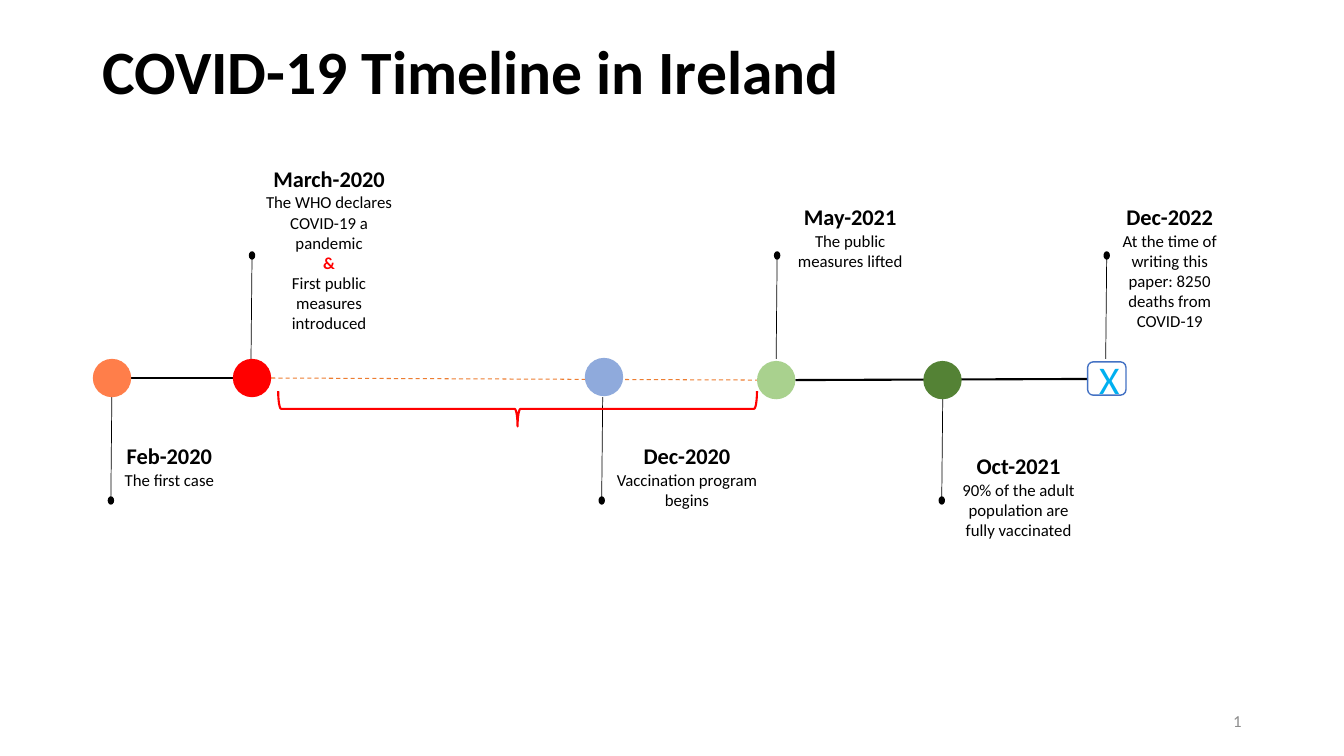
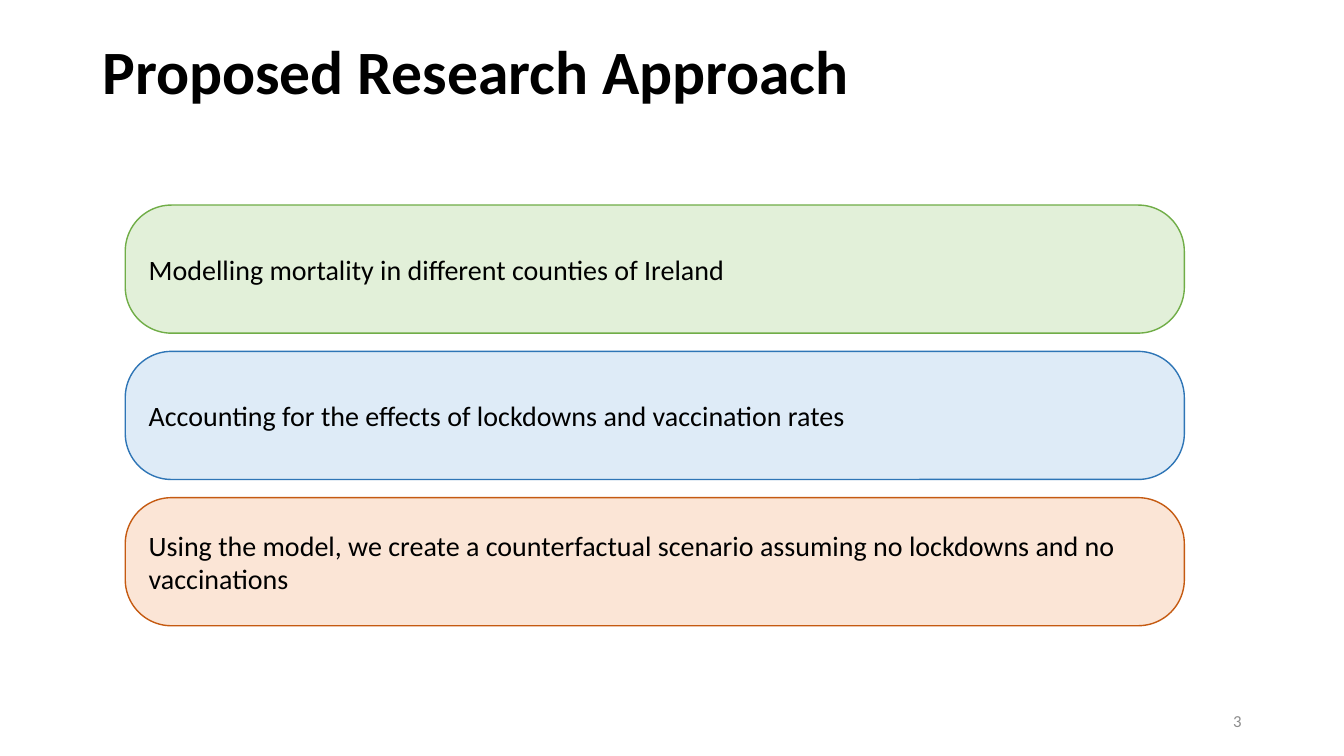
from dataclasses import dataclass
from lxml.etree import SubElement
from pptx import Presentation
from pptx.dml.color import RGBColor
from pptx.enum.dml import MSO_LINE
from pptx.enum.shapes import MSO_CONNECTOR, MSO_SHAPE
from pptx.enum.text import MSO_ANCHOR, MSO_AUTO_SIZE, PP_ALIGN
from pptx.oxml.ns import qn
from pptx.util import Pt


@dataclass(frozen=True)
class Theme:
    font: str = "Calibri"
    title: int = 44
    symbol: int = 28
    body: int = 20
    date: int = 16
    small: int = 12
    black: str = "000000"
    white: str = "FFFFFF"
    grey: str = "8C8C8C"
    red: str = "FF0000"
    coral: str = "FF7E4A"
    periwinkle: str = "8FAADC"
    light_green: str = "A9D18E"
    dark_green: str = "548235"
    dash: str = "ED7D31"
    frame: str = "4472C4"
    cross: str = "00B0F0"
    bars: tuple = (("E2F0D9", "70AD47"), ("DEEBF7", "2E75B6"), ("FBE5D6", "C55A11"))


T = Theme()


def add_shape(s, kind, box, fill=None, line=None, width=1):
    sp = s.shapes.add_shape(kind, *map(Pt, box))
    sp.shadow.inherit = False
    for part, color in ((sp.fill, fill), (sp.line.fill, line)):
        if color:
            part.solid()
            part.fore_color.rgb = RGBColor.from_string(color)
        else:
            part.background()
    if line:
        sp.line.width = Pt(width)
    return sp


def write(sp, paragraphs, frame={}, para={}):
    tf = sp.text_frame
    for name, value in {"word_wrap": True, **frame}.items():
        setattr(tf, name, value)
    for i, (text, size, color, bold) in enumerate(paragraphs):
        p = tf.add_paragraph() if i else tf.paragraphs[0]
        for name, value in para.items():
            setattr(p, name, value)
        r = p.add_run()
        r.text = text
        r.font.color.rgb = RGBColor.from_string(color)
        for name, value in {"name": T.font, "size": Pt(size), "bold": bold}.items():
            setattr(r.font, name, value)


prs = Presentation()
prs.slide_width, prs.slide_height = Pt(960), Pt(540)
middle = {"vertical_anchor": MSO_ANCHOR.MIDDLE}
centred = {"alignment": PP_ALIGN.CENTER}

slides = []
for title, number in (("COVID-19 Timeline in Ireland", "1"),
                      ("Proposed Research Approach", "3")):
    s = prs.slides.add_slide(prs.slide_layouts[6])
    tb = s.shapes.add_textbox(Pt(66), Pt(1), Pt(828), Pt(104.5))
    write(tb, [(title, T.title, T.black, True)], middle, {"line_spacing": 0.9})
    tb = s.shapes.add_textbox(Pt(678), Pt(500.5), Pt(216), Pt(28.5))
    write(tb, [(number, T.small, T.grey, False)], middle, {"alignment": PP_ALIGN.RIGHT})
    slides.append(s)
timeline, approach = slides

UP, DOWN = -1, 1
AXIS, DIAMETER, STEM, LEAN = 270, 27.4, 71.3, 0.7
DOT_W, DOT_H = 3.6, 5
milestones = [
    (80, 270, T.coral, 79.9, DOWN, (77.8, 312.5, 86.4, 41),
     "Feb-2020", ["The first case"]),
    (180, 270, T.red, 179.3, UP, (180, 114.5, 110.2, 128),
     "March-2020", ["The WHO declares COVID-19 a pandemic", "&",
                    "First public measures introduced"]),
    (431.4, 269.3, T.periwinkle, 430.5, DOWN, (431.3, 312.5, 118.8, 55.4),
     "Dec-2020", ["Vaccination program begins"]),
    (554.4, 271.5, T.light_green, 554.4, UP, (555.1, 141.8, 104.4, 55.4),
     "May-2021", ["The public measures lifted"]),
    (673.2, 271.5, T.dark_green, 673.4, DOWN, (677.5, 319.7, 100.1, 70.6),
     "Oct-2021", ["90% of the adult population are fully vaccinated"]),
    (790.6, 270.4, None, 789.8, UP, (792.7, 141.8, 85.7, 99.4),
     "Dec-2022", ["At the time of writing this paper: 8250 deaths from COVID-19"]),
]

lines = [
    (93.7, 270, 166.3, 270, T.black, 1.5, None),
    (193.7, 270, 540.7, 271.5, T.dash, 0.75, MSO_LINE.DASH),
    (568.1, 271.5, 776.9, 270.7, T.black, 1.5, None),
]
for _, _, _, x, side, *_ in milestones:
    foot = AXIS + side * DIAMETER / 2
    lines.append((x, foot, x - side * LEAN, foot + side * STEM, T.black, 0.5, None))

for x1, y1, x2, y2, color, width, dash in lines:
    cn = timeline.shapes.add_connector(MSO_CONNECTOR.STRAIGHT, *map(Pt, (x1, y1, x2, y2)))
    SubElement(cn.element.spPr, qn("a:effectLst"))
    cn.line.color.rgb = RGBColor.from_string(color)
    for name, value in {"width": Pt(width), "dash_style": dash}.items():
        setattr(cn.line, name, value)

for x, y, color, stem_x, side, label, date, notes in milestones:
    tip = AXIS + side * (DIAMETER / 2 + STEM)
    dot = (stem_x - side * LEAN - DOT_W / 2, tip + (side - 1) * DOT_H / 2, DOT_W, DOT_H)
    add_shape(timeline, MSO_SHAPE.OVAL, dot, T.black, T.black)
    if color:
        circle = (x - DIAMETER / 2, y - DIAMETER / 2, DIAMETER, DIAMETER)
        add_shape(timeline, MSO_SHAPE.OVAL, circle, color)
    else:
        square = (x - DIAMETER / 2, y - 11.9, DIAMETER, 23.8)
        sp = add_shape(timeline, MSO_SHAPE.ROUNDED_RECTANGLE, square, T.white, T.frame)
        write(sp, [("X", T.symbol, T.cross, False)], middle, centred)
    tb = timeline.shapes.add_textbox(*map(Pt, label))
    text = [(date, T.date, T.black, True)]
    for note in notes:
        joint = note == "&"
        text.append((note, T.small, T.red if joint else T.black, joint))
    write(tb, text, {"auto_size": MSO_AUTO_SIZE.SHAPE_TO_FIT_TEXT}, centred)

brace = add_shape(timeline, MSO_SHAPE.LEFT_BRACE, (357.1, 121, 25.2, 342), None, T.red, 1.5)
brace.rotation = 270

steps = [
    "Modelling mortality in different counties of Ireland",
    "Accounting for the effects of lockdowns and vaccination rates",
    "Using the model, we create a counterfactual scenario assuming no lockdowns and no vaccinations",
]
BAR_TOP, BAR_H, BAR_GAP = 146.5, 91.5, 13
for i, (step, (fill, line)) in enumerate(zip(steps, T.bars)):
    bar = (89.5, BAR_TOP + i * (BAR_H + BAR_GAP), 756.5, BAR_H)
    sp = add_shape(approach, MSO_SHAPE.ROUNDED_RECTANGLE, bar, fill, line)
    sp.adjustments[0] = 0.36
    write(sp, [(step, T.body, T.black, False)], middle, {"alignment": PP_ALIGN.LEFT})

prs.save("out.pptx")
